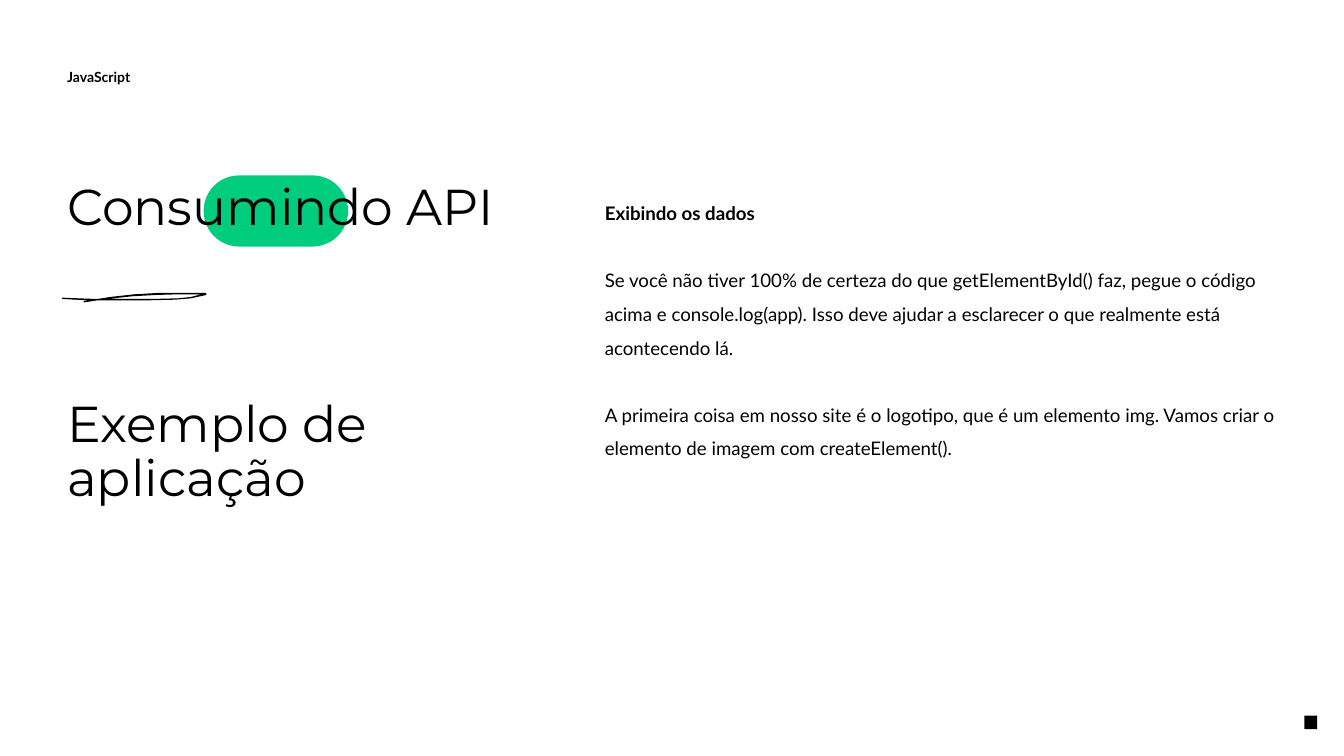
from pptx import Presentation
from pptx.dml.color import RGBColor
from pptx.enum.shapes import MSO_SHAPE
from pptx.enum.text import MSO_AUTO_SIZE
from pptx.util import Inches, Pt

ROUNDED = MSO_SHAPE.ROUNDED_RECTANGLE
RECTANGLE = MSO_SHAPE.RECTANGLE
GROW = MSO_AUTO_SIZE.SHAPE_TO_FIT_TEXT
FIXED = MSO_AUTO_SIZE.NONE
BLACK = "000000"
GREEN = "00CC7E"

STROKE_OUTER = [
    (1.8, 0), (1.62, 0), (1.43, 0), (1.08, 0.02), (0.72, 0.06), (0.53, 0.09),
    (0.25, 0.08), (0.01, 0.07), (0, 0.08), (0.01, 0.09), (0.39, 0.11),
    (0.33, 0.12), (0.32, 0.13), (0.33, 0.14), (0.53, 0.11), (0.89, 0.11),
    (1.27, 0.11), (1.69, 0.1), (1.92, 0.08), (2.15, 0.03), (2.15, 0.01), (2.14, 0),
]
STROKE_INNER = [
    (1.8, 0.02), (2.08, 0.02), (1.92, 0.06), (1.73, 0.08), (1.32, 0.09),
    (0.91, 0.09), (0.68, 0.09), (1.04, 0.05), (1.4, 0.03), (1.75, 0.02),
]


def color(value):
    return RGBColor.from_string(value)


def paint(sp, value):
    sp.shadow.inherit = False
    sp.fill.solid()
    sp.fill.fore_color.rgb = color(value)
    sp.line.fill.background()


def add_block(s, left, top, width, height, shape, value):
    sp = s.shapes.add_shape(shape, Inches(left), Inches(top), Inches(width), Inches(height))
    paint(sp, value)
    return sp


def add_text(s, left, top, width, height, lines, font, size, spacing=1, gap=0,
             bold_first=False, auto_size=GROW):
    sp = s.shapes.add_textbox(Inches(left), Inches(top), Inches(width), Inches(height))
    tf = sp.text_frame
    tf.word_wrap = True
    tf.auto_size = auto_size
    tf.margin_left = tf.margin_top = tf.margin_right = tf.margin_bottom = 0
    for i, line in enumerate(lines):
        p = tf.add_paragraph() if i else tf.paragraphs[0]
        p.text = line
        p.line_spacing = spacing
        p.space_before = Pt(gap if i else 0)
        p.font.name = font
        p.font.size = Pt(size)
        p.font.bold = bold_first and i == 0
        p.font.color.rgb = color(BLACK)


def add_stroke(s, left, top):
    def place(points):
        return [(Inches(left + x), Inches(top + y)) for x, y in points]

    outer, inner = place(STROKE_OUTER), place(STROKE_INNER)
    builder = s.shapes.build_freeform(*outer[0])
    builder.add_line_segments(outer[1:])
    builder.move_to(*inner[0])
    builder.add_line_segments(inner[1:])
    paint(builder.convert_to_shape(), BLACK)


def add_header(s, left, top, width, height):
    add_text(s, left, top, width, height, ["JavaScript"], "Lato", 15,
             bold_first=True, auto_size=FIXED)


def add_title(s, left, top, width, height):
    pill = add_block(s, left + 2.03, top - 0.1, 2.15, 1.06, ROUNDED, GREEN)
    pill.adjustments[0] = 0.5
    add_text(s, left, top, width, height, ["Consumindo API", "Exemplo de aplicação"],
             "Montserrat", 54, spacing=0.9, gap=174)
    add_stroke(s, left - 0.08, top + 1.65)


def add_body(s, left, top, width, height):
    lines = [
        "Exibindo os dados",
        "Se você não tiver 100% de certeza do que getElementById() faz, pegue o código "
        "acima e console.log(app). Isso deve ajudar a esclarecer o que realmente está "
        "acontecendo lá.",
        "A primeira coisa em nosso site é o logotipo, que é um elemento img. Vamos criar "
        "o elemento de imagem com createElement().",
    ]
    add_text(s, left, top, width, height, lines, "Lato", 20, spacing=1.5, gap=36,
             bold_first=True)


def main():
    prs = Presentation()
    prs.slide_width = Inches(20)
    prs.slide_height = Inches(11.25)
    s = prs.slides.add_slide(prs.slide_layouts[6])
    add_title(s, 1, 2.71, 7, 4.91)
    add_body(s, 9, 2.84, 10, 3.53)
    add_header(s, 1, 1.02, 2.66, 0.22)
    add_block(s, 19.41, 10.65, 0.19, 0.2, RECTANGLE, BLACK)
    prs.save("out.pptx")


if __name__ == "__main__":
    main()
